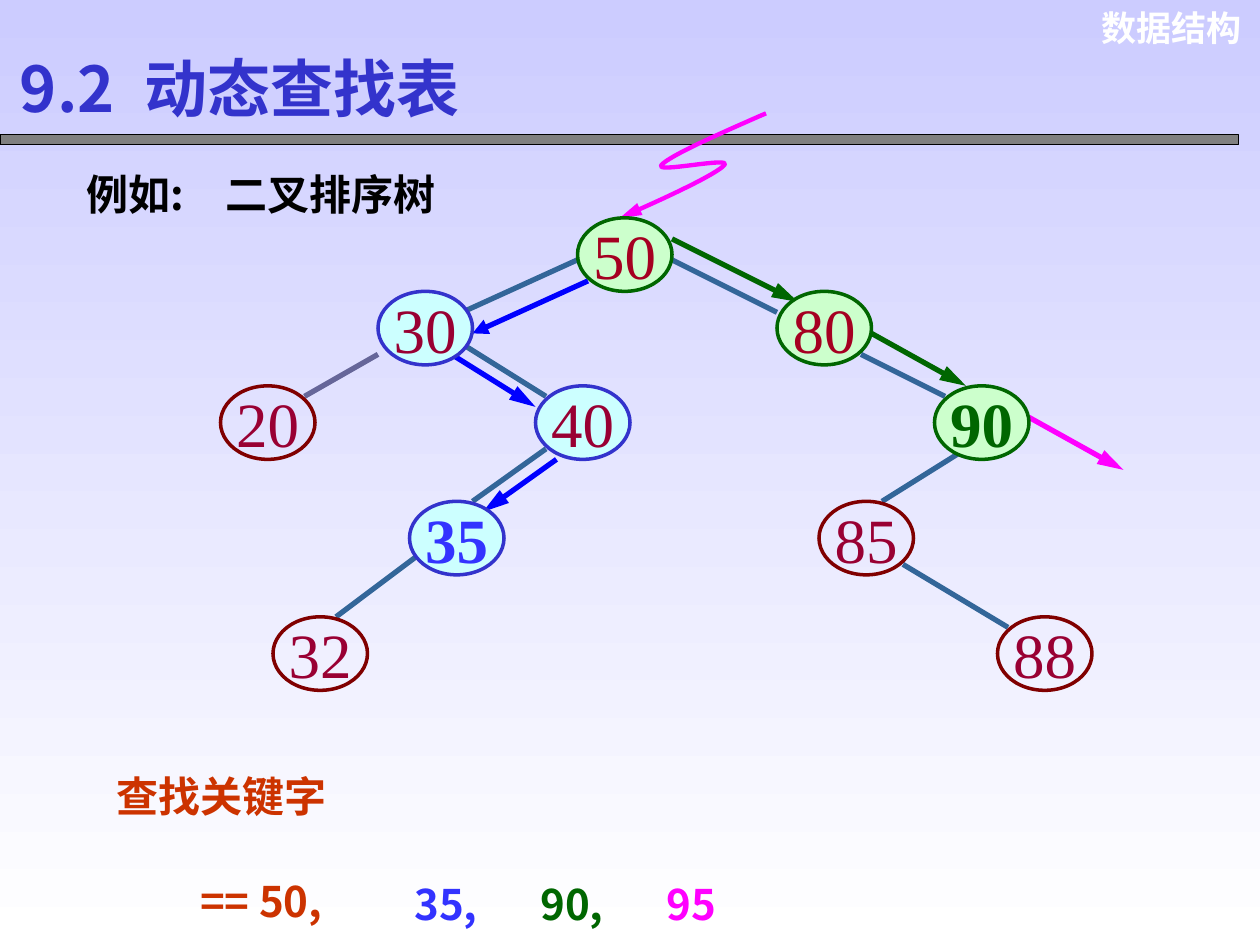
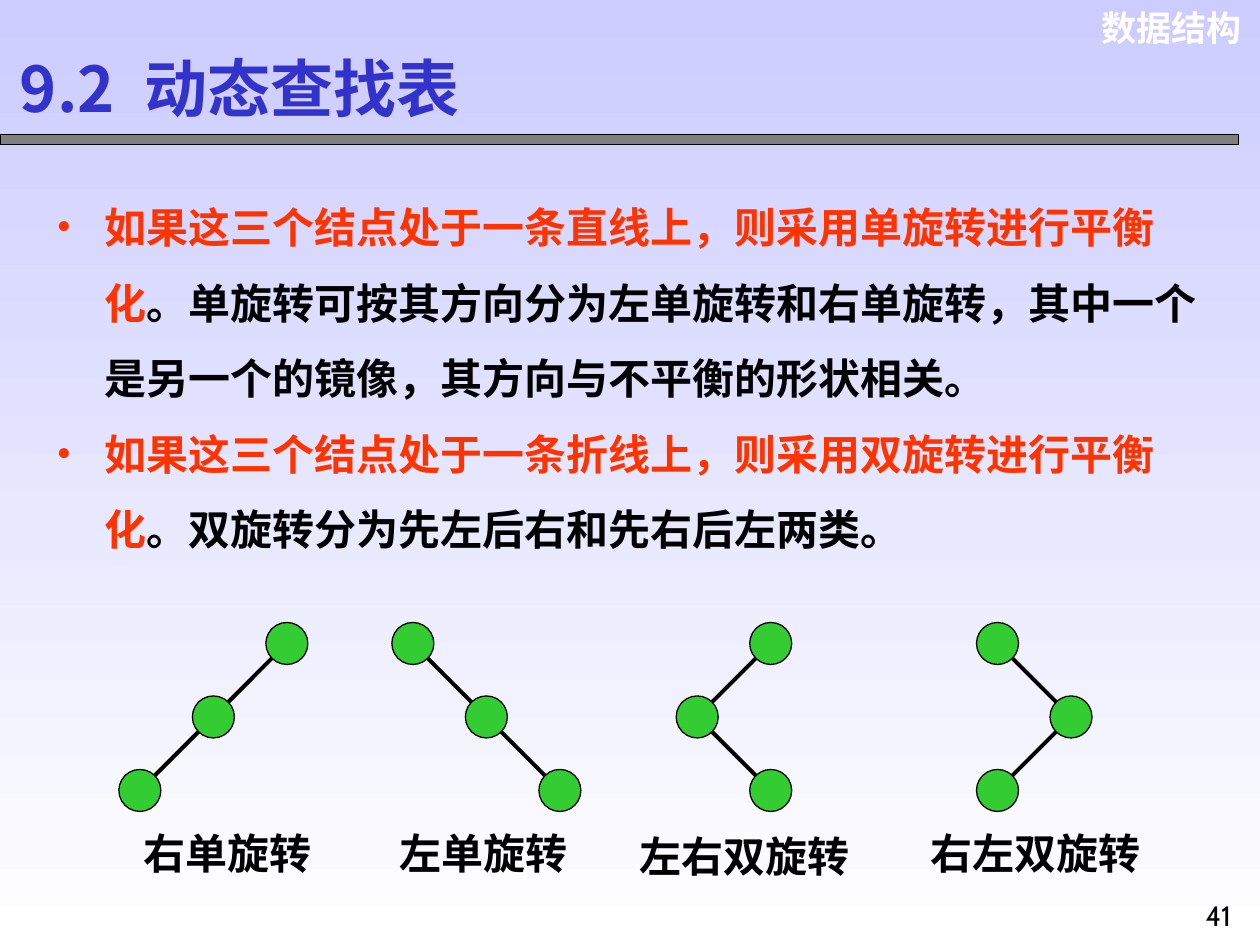
import pptx
import pptx.dml.color
import pptx.enum.shapes
import pptx.enum.text
import pptx.oxml.ns
import pptx.util
from lxml import etree

CELL = 1 / 12  # grid cell in inches, used by both diagrams
NODE_WIDTH, NODE_HEIGHT = 9, 7  # in cells
DOT, DOT_STEP = 4, 7  # in cells

CJK, SERIF = "Noto Sans CJK SC", "Times New Roman"
BLACK, WHITE, GREY = "000000", "FFFFFF", "808080"
LAVENDER, INDIGO, BLUE, STEEL = "CCCCFF", "3333CC", "3333FF", "336699"
RUST, ORANGE, GREEN, MAGENTA = "CC3300", "FF3300", "006600", "FF00FF"
CENTER = pptx.enum.text.PP_ALIGN.CENTER
RIGHT = pptx.enum.text.PP_ALIGN.RIGHT
SHORT, LONG = "med", "lg"  # arrowhead lengths

# Node styles: fill, outline, text
PLAIN = (None, "800000", "990033")
LEFT_ROUTE = ("CCFFFF", INDIGO, "990033")
RIGHT_ROUTE = ("CCFFCC", GREEN, "A50021")

LEVELS = [20.75, 27.75, 36.75, 47.75, 58.75]  # top of each tree level, in cells
# Key: column, level, style
TREE = {
    50: (55, 0, RIGHT_ROUTE), 30: (36, 1, LEFT_ROUTE), 80: (74, 1, RIGHT_ROUTE),
    20: (21, 2, PLAIN), 40: (51, 2, LEFT_ROUTE), 90: (89, 2, RIGHT_ROUTE),
    35: (39, 3, LEFT_ROUTE), 85: (78, 3, PLAIN),
    32: (26, 4, PLAIN), 88: (95, 4, PLAIN),
}
FOUND = {35: BLUE, 90: GREEN}
# Parent, offset in it, child, offset in it, colour, arrowhead (offsets in cells)
EDGES = [
    (50, (0, 4), 30, (8, 2), STEEL), (30, (0, 6), 20, (8, 1), "666699"),
    (50, (9, 4), 80, (0, 2), STEEL), (30, (8, 5), 40, (1, 1), STEEL),
    (40, (1, 6), 35, (6, 0), STEEL), (80, (8, 6), 90, (1, 1), STEEL),
    (90, (3, 6), 85, (6, 0), STEEL), (85, (8, 6), 88, (1, 1), STEEL),
    (35, (1, 5), 32, (6, 0), STEEL),
]
SEARCH_STEPS = [
    (50, (1, 6), 30, (9, 4), "0000FF", SHORT), (30, (7, 6), 40, (0, 2), "0000FF", LONG),
    (40, (2, 7), 35, (7, 1), "0000FF", LONG), (50, (9, 2), 80, (2, 1), GREEN, LONG),
    (80, (9, 4), 90, (3, 0), GREEN, LONG), (90, (9, 3), 90, (18, 8), MAGENTA, LONG),
]
ENTRY_CURVE = [
    [(6.08, 0.9), (5.69, 1.07), (5.31, 1.24), (5.25, 1.31)],
    [(5.25, 1.31), (5.19, 1.38), (5.81, 1.24), (5.75, 1.31)],
    [(5.75, 1.31), (5.69, 1.38), (5.31, 1.56), (4.92, 1.73)],
]
# Search keys: text, left, top, colour
SEARCH_KEYS = [
    ("== 50,", 1.49, 6.9, RUST), ("35,", 3.19, 6.92, BLUE),
    ("90,", 4.19, 6.92, GREEN), ("95", 5.19, 6.92, MAGENTA),
]
# Rotations: name, label left, label top, left of top dot, column of each dot
ROTATIONS = [
    ("右单旋转", 1.04, 6.52, 2.11, (0, -1, -2)),
    ("左单旋转", 3.07, 6.52, 3.11, (0, 1, 2)),
    ("左右双旋转", 4.98, 6.54, 5.95, (0, -1, 0)),
    ("右左双旋转", 7.29, 6.52, 7.75, (0, 1, 0)),
]
RULES = [
    ("如果这三个结点处于一条直线上，则采用单旋转进行平衡化",
     "。单旋转可按其方向分为左单旋转和右单旋转，其中一个是另一个的镜像，其方向与不平衡的形状相关。"),
    ("如果这三个结点处于一条折线上，则采用双旋转进行平衡化",
     "。双旋转分为先左后右和先右后左两类。"),
]


def color(hex_string):
    return pptx.dml.color.RGBColor.from_string(hex_string)


def inches(*lengths):
    return [pptx.util.Inches(length) for length in lengths]


def add_xml(parent, tag, **attributes):
    return etree.SubElement(parent, pptx.oxml.ns.qn(tag), attributes)


def set_font(paragraph, name, size, hex_string, bold=True):
    font = paragraph.font
    font.name, font.size, font.bold = name, pptx.util.Pt(size), bold
    font.color.rgb = color(hex_string)
    properties = paragraph._p.get_or_add_pPr().find(pptx.oxml.ns.qn("a:defRPr"))
    add_xml(properties, "a:ea", typeface=CJK)


def set_line(line, hex_string, width, arrow=None):
    line.color.rgb = color(hex_string)
    line.width = pptx.util.Pt(width)
    if arrow:
        add_xml(line._get_or_add_ln(), "a:tailEnd", type="triangle", len=arrow)


def add_text(slide, text, box, size, hex_string, name=CJK, bold=True,
             align=None, tab=None):
    frame = slide.shapes.add_textbox(*inches(*box)).text_frame
    frame.word_wrap = True
    paragraph = frame.paragraphs[0]
    paragraph.text = text
    paragraph.alignment = align
    if tab:
        stops = add_xml(paragraph._p.get_or_add_pPr(), "a:tabLst")
        add_xml(stops, "a:tab", pos=str(pptx.util.Inches(tab)), algn="l")
    set_font(paragraph, name, size, hex_string, bold)


def add_shape(slide, kind, box, fill, outline, width=0.75):
    shape = slide.shapes.add_shape(kind, *inches(*box))
    shape.shadow.inherit = False
    if fill:
        shape.fill.solid()
        shape.fill.fore_color.rgb = color(fill)
    else:
        shape.fill.background()
    set_line(shape.line, outline, width)
    return shape


def add_oval(slide, box, fill, outline, width=0.75):
    return add_shape(slide, pptx.enum.shapes.MSO_SHAPE.OVAL, box, fill, outline, width)


def add_line(slide, start, end, hex_string, width, arrow=None):
    connector = slide.shapes.add_connector(
        pptx.enum.shapes.MSO_CONNECTOR.STRAIGHT, *inches(*start, *end))
    set_line(connector.line, hex_string, width, arrow)
    add_xml(connector._element.spPr, "a:effectLst")


def add_curve(slide, segments, hex_string, width, steps=16):
    """Draw joined cubic Bezier segments as one fine open outline."""
    points = [segments[0][0]]
    for a, b, c, d in segments:
        for step in range(1, steps + 1):
            t = step / steps
            u = 1 - t
            points.append(tuple(
                u**3 * a[axis] + 3 * u * u * t * b[axis] + 3 * u * t * t * c[axis]
                + t**3 * d[axis] for axis in (0, 1)))
    points = [inches(*point) for point in points]
    builder = slide.shapes.build_freeform(*points[0])
    builder.add_line_segments(points[1:], close=False)
    curve = builder.convert_to_shape()
    curve.shadow.inherit = False
    curve.fill.background()
    set_line(curve.line, hex_string, width, LONG)


def add_base_slide(presentation):
    """Background, course name, title and band shared by all slides."""
    slide = presentation.slides.add_slide(presentation.slide_layouts[6])
    fill = slide.background.fill
    fill.gradient()
    fill.gradient_angle = 270
    for stop, position, shade in zip(fill.gradient_stops, (0, 1), (LAVENDER, WHITE)):
        stop.position = position
        stop.color.rgb = color(shade)
    add_text(slide, "数据结构", (8.38, 0, 1.57, 0.44), 20, WHITE, "Arial", align=RIGHT)
    add_shape(slide, pptx.enum.shapes.MSO_SHAPE.RECTANGLE,
              (0, 1.07, 9.83, 0.08), GREY, BLACK)
    add_text(slide, "9.2\t动态查找表", (0.06, 0.34, 4.2, 0.8), 36, INDIGO, tab=0.99)
    return slide


def tree_point(key, offset=(0, 0)):
    column, level, _ = TREE[key]
    return (column + offset[0]) * CELL, (LEVELS[level] + offset[1]) * CELL


def add_links(slide, links):
    for parent, start, child, end, shade, *arrow in links:
        add_line(slide, tree_point(parent, start), tree_point(child, end), shade, 3, *arrow)


def add_tree_node(slide, key):
    fill, outline, text_color = TREE[key][2]
    box = (*tree_point(key), NODE_WIDTH * CELL, NODE_HEIGHT * CELL)
    frame = add_oval(slide, box, fill, outline, 2).text_frame
    frame.word_wrap = False
    frame.vertical_anchor = pptx.enum.text.MSO_ANCHOR.MIDDLE
    paragraph = frame.paragraphs[0]
    paragraph.text = str(key)
    paragraph.alignment = CENTER
    set_font(paragraph, SERIF, 36, FOUND.get(key, text_color), key in FOUND)


def add_rules(slide):
    frame = slide.shapes.add_textbox(*inches(0.35, 1.35, 9.31, 3.3)).text_frame
    frame.word_wrap = True
    for index, (condition, detail) in enumerate(RULES):
        paragraph = frame.paragraphs[0] if index == 0 else frame.add_paragraph()
        paragraph.line_spacing = 1.5
        properties = paragraph._p.get_or_add_pPr()
        indent = pptx.util.Inches(0.38)
        properties.set("marL", str(indent))
        properties.set("indent", str(-indent))
        properties.set("hangingPunct", "0")
        bullet_color = add_xml(properties, "a:buClr")
        add_xml(bullet_color, "a:srgbClr", val=ORANGE)
        add_xml(properties, "a:buFont", typeface=SERIF)
        add_xml(properties, "a:buChar", char="•")
        set_font(paragraph, SERIF, 24, BLACK)
        for text, shade in ((condition, ORANGE), (detail, BLACK)):
            run = paragraph.add_run()
            run.text = text
            run.font.color.rgb = color(shade)


def add_rotation(slide, name, label_left, label_top, left, columns):
    size, step = DOT * CELL, DOT_STEP * CELL
    corners = [(left + column * step, 4.94 + row * step)
               for row, column in enumerate(columns)]
    centers = [(x + size / 2, y + size / 2) for x, y in corners]
    straight = columns[0] + columns[2] == 2 * columns[1]
    joints = centers[::2] if straight else centers
    for start, end in zip(joints, joints[1:]):
        add_line(slide, start, end, BLACK, 2.25)
    for corner in corners:
        add_oval(slide, (*corner, size, size), "33CC33", BLACK)
    add_text(slide, name, (label_left, label_top, 2, 0.5), 24, BLACK, SERIF)


def build_search_slide(presentation):
    slide = add_base_slide(presentation)
    add_text(slide, "例如:", (0.59, 1.29, 1.14, 0.5), 24, BLACK)
    add_text(slide, "二叉排序树", (1.69, 1.29, 2.05, 0.5), 24, BLACK)
    # Tree with search routes
    add_links(slide, EDGES)
    add_curve(slide, ENTRY_CURVE, MAGENTA, 2.5)
    add_links(slide, SEARCH_STEPS)
    for key in TREE:
        add_tree_node(slide, key)
    # Keys searched for
    add_text(slide, "查找关键字", (0.83, 6.07, 2.12, 0.5), 24, RUST)
    for text, left, top, shade in SEARCH_KEYS:
        add_text(slide, text, (left, top, 1.4, 0.5), 24, shade)


def build_rotation_slide(presentation):
    slide = add_base_slide(presentation)
    add_rules(slide)
    for rotation in ROTATIONS:
        add_rotation(slide, *rotation)
    add_text(slide, "41", (9.42, 7.08, 0.5, 0.42), 16, BLACK, "Cabin", False, CENTER)


def main():
    presentation = pptx.Presentation()
    presentation.slide_width, presentation.slide_height = inches(10, 7.5)
    build_search_slide(presentation)
    build_rotation_slide(presentation)
    presentation.save("out.pptx")


if __name__ == "__main__":
    main()
